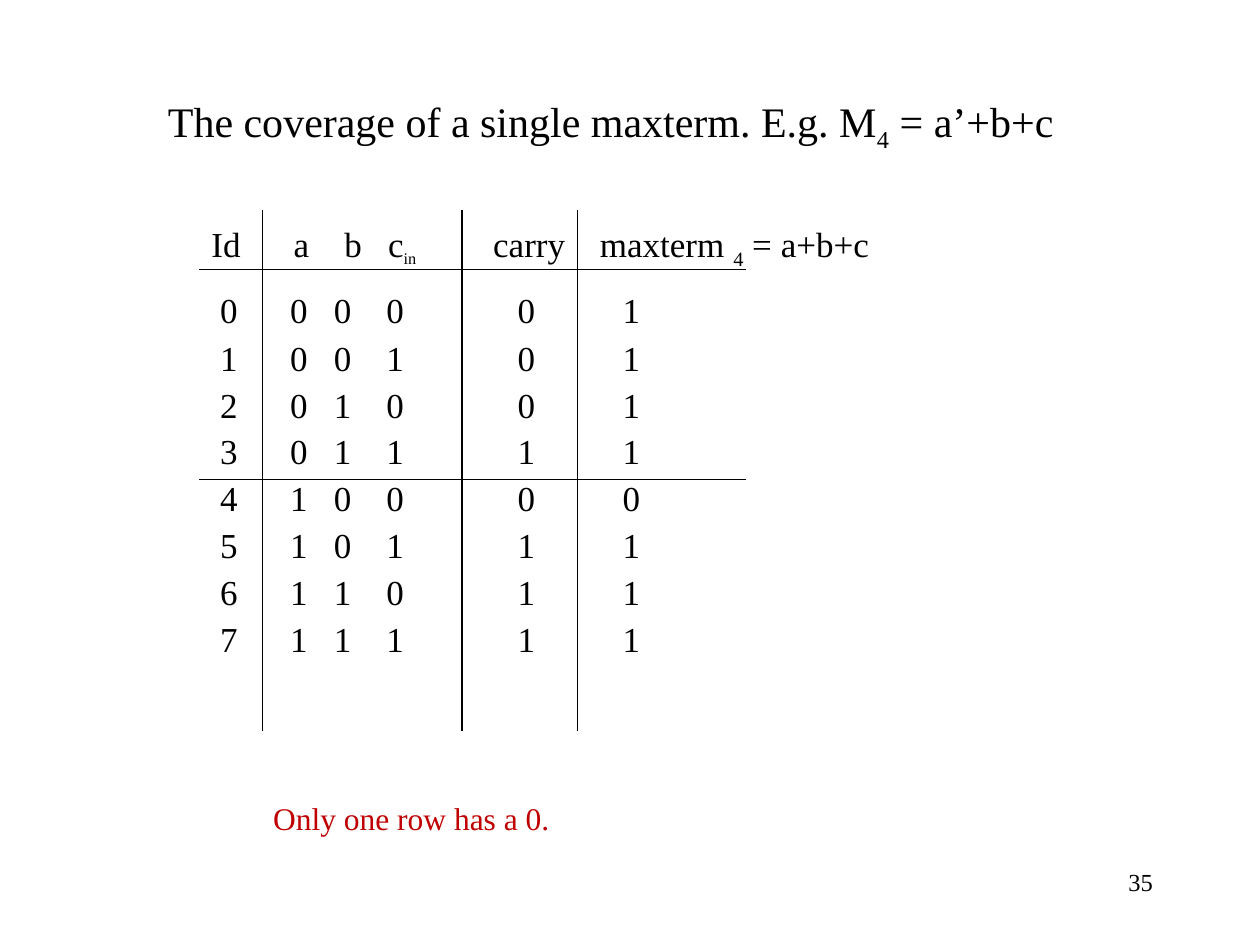
from lxml import etree
from pptx import Presentation
from pptx.dml.color import RGBColor
from pptx.enum.shapes import MSO_CONNECTOR
from pptx.enum.text import MSO_ANCHOR, MSO_AUTO_SIZE, PP_ALIGN
from pptx.oxml.ns import qn
from pptx.util import Pt

STRAIGHT = MSO_CONNECTOR.STRAIGHT
TOP = MSO_ANCHOR.TOP
NO_AUTOFIT = MSO_AUTO_SIZE.NONE
LEFT, RIGHT = PP_ALIGN.LEFT, PP_ALIGN.RIGHT
FONT = "Times New Roman"
BLACK, RED = "000000", "C00000"


def write(paragraph, runs, size, color=BLACK, align=LEFT, before=0, spacing=1.0, tabs=()):
    """Fill a paragraph from (text, is_subscript[, size]) runs; tabs are in points."""
    paragraph.alignment = align
    paragraph.space_before = Pt(before)
    paragraph.line_spacing = spacing
    if tabs:
        stops = etree.SubElement(paragraph._p.get_or_add_pPr(), qn("a:tabLst"))
        for position in tabs:
            etree.SubElement(stops, qn("a:tab"), pos=str(Pt(position)), algn="l")
    for text, subscript, *own_size in runs:
        run = paragraph.add_run()
        run.text = text
        run.font.name = FONT
        run.font.size = Pt(own_size[0] if own_size else size)
        run.font.color.rgb = RGBColor.from_string(color)
        if subscript:
            run._r.get_or_add_rPr().set("baseline", "-25000")


def place(shape, left, top, width, height):
    """Position a text shape and return its wrapped, top-anchored frame."""
    shape.left, shape.top, shape.width, shape.height = map(Pt, (left, top, width, height))
    frame = shape.text_frame
    frame.word_wrap = True
    frame.auto_size = NO_AUTOFIT
    frame.vertical_anchor = TOP
    return frame


prs = Presentation()
prs.slide_width, prs.slide_height = Pt(720), Pt(540)
slide = prs.slides.add_slide(prs.slide_layouts[5])
shapes = slide.shapes

# Title
title = place(shapes.title, 88.75, 51, 532, 36.5)
write(title.paragraphs[0],
      [("The coverage of a single maxterm. E.g. M", False), ("4", True), (" = a’+b+c", False)], 24)

# Truth table: one tabbed line per input combination
truth_table = place(shapes.add_textbox(0, 0, 0, 0), 113.75, 123.75, 504, 326)
write(truth_table.paragraphs[0],
      [("Id\ta\tb\tc", False), ("in", True, 16), ("\tcarry\tmaxterm ", False),
       ("4", True), (" = a+b+c", False)],
      20, tabs=(47, 76, 101, 161, 222))
for row in range(8):
    a, b, c = row >> 2, row >> 1 & 1, row & 1
    carry = int(a + b + c >= 2)
    maxterm = int(row != 4)
    cells = "".join(f"\t{value}" for value in (row, a, b, c, carry, maxterm))
    write(truth_table.add_paragraph(), [(cells, False)], 20, before=10,
          spacing=0.7 if row else 1.0, tabs=(5, 45, 70, 100, 175, 235))

# Table rules
horizontal = [(113.75, y, 426.25, y) for y in (154, 274)]
vertical = [(x, 120, x, 418) for x in (150, 264, 330)]
for ends in horizontal + vertical:
    rule = shapes.add_connector(STRAIGHT, *map(Pt, ends))
    rule.line.color.rgb = RGBColor.from_string(BLACK)
    rule.line.width = Pt(0.75)
    etree.SubElement(rule._element.spPr, qn("a:effectLst"))

# Remark and slide number
remark = place(shapes.add_textbox(0, 0, 0, 0), 149, 453, 173, 29)
write(remark.paragraphs[0], [("Only one row has a 0.", False)], 18, color=RED)
number = place(shapes.add_textbox(0, 0, 0, 0), 516, 492, 150, 36)
write(number.paragraphs[0], [("35", False)], 14, align=RIGHT)

prs.save("out.pptx")
